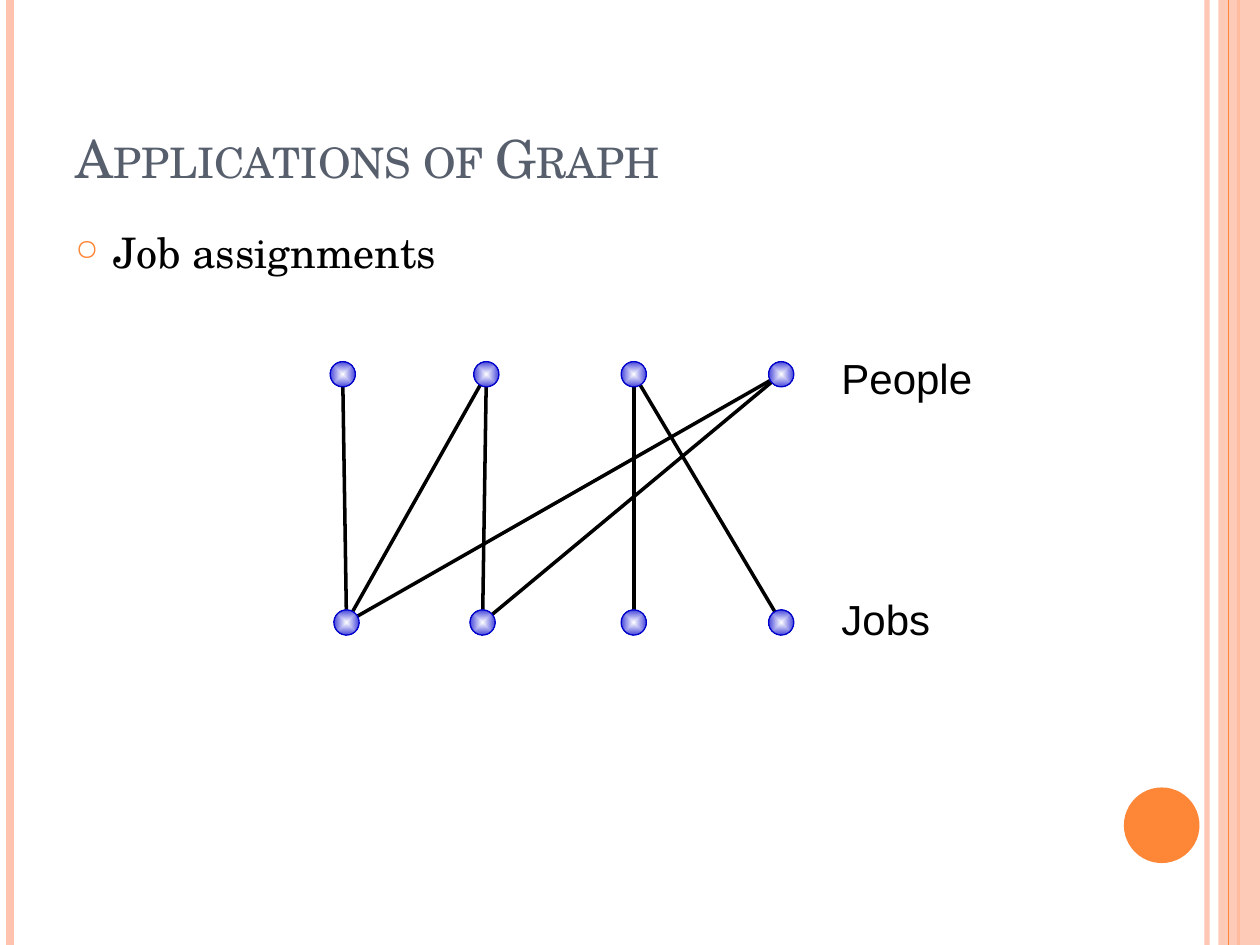
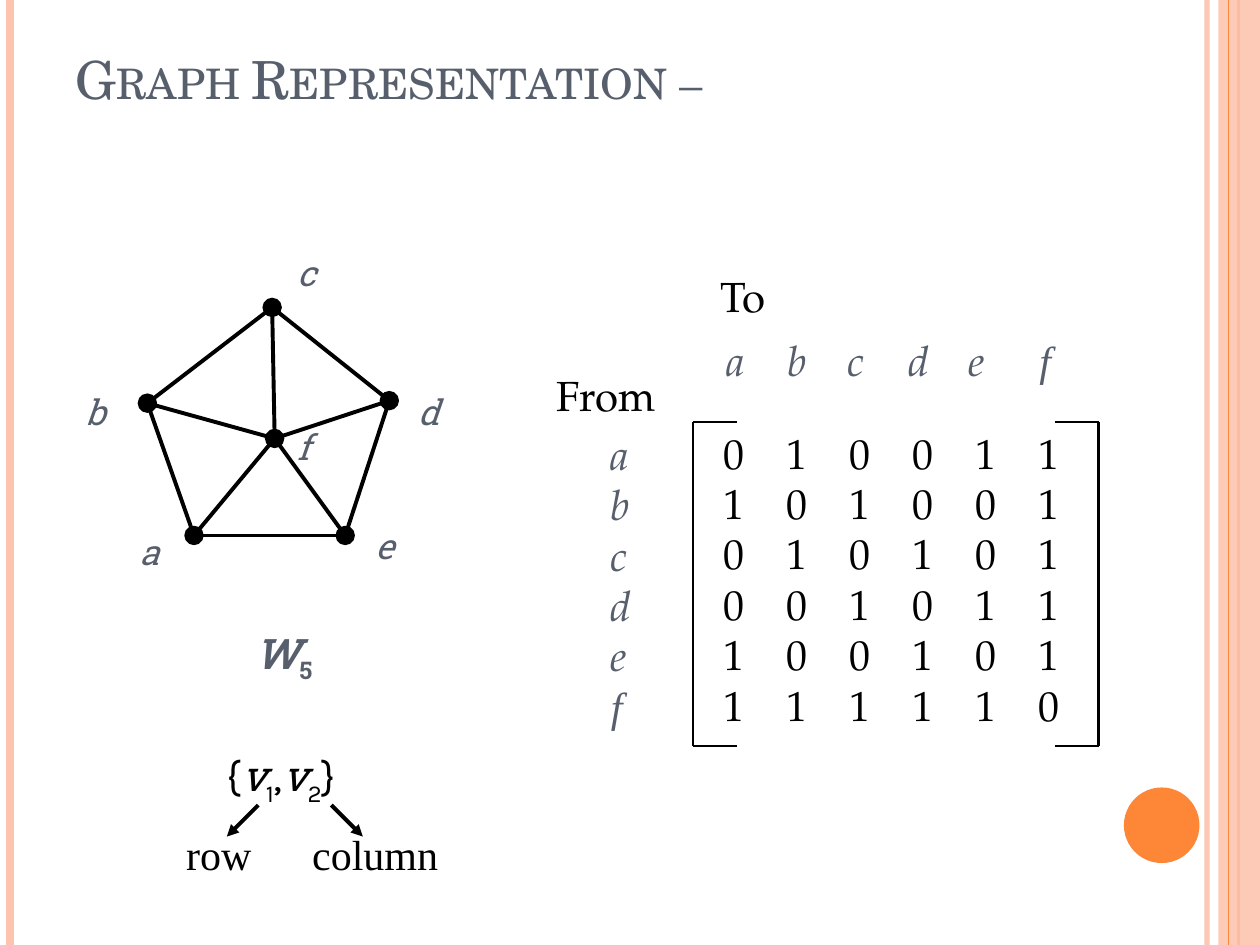
from lxml.etree import SubElement
from pptx import Presentation
from pptx.dml.color import RGBColor
from pptx.enum.shapes import MSO_CONNECTOR, MSO_SHAPE
from pptx.enum.text import MSO_ANCHOR, MSO_AUTO_SIZE, PP_ALIGN
from pptx.oxml.ns import qn
from pptx.util import Inches, Pt

ORANGE, PEACH, SLATE = "FE8637", "FEC3AE", "575F6D"
BLACK, WHITE, BLUE = "000000", "FFFFFF", "0000CC"
SERIF, TITLE_FONT, SLAB = "TeX Gyre Pagella", "TeX Gyre Schola", "Roboto Slab"
SANS, TIMES, KARLA = "Arial", "Times New Roman", "Karla"
rgb = RGBColor.from_string


def add_text(page, text, at=None, into=None, size=24, font=SERIF, color=BLACK,
             bold=False, italic=False, baseline=0, small_caps=False,
             anchor=MSO_ANCHOR.TOP, tabs=()):
    """Write text in a new box, or carry on the last paragraph of a given one."""
    box = into
    if box is None:
        box = page.shapes.add_textbox(*map(Inches, at))
    frame = box.text_frame
    if at:
        frame.word_wrap = True
        frame.auto_size = MSO_AUTO_SIZE.NONE
        frame.vertical_anchor = anchor
    for number, line in enumerate(text.split("\n")):
        para = frame.add_paragraph() if number else frame.paragraphs[-1]
        para.alignment = PP_ALIGN.LEFT
        if tabs:
            stops = SubElement(para._p.get_or_add_pPr(), qn("a:tabLst"))
            for stop in tabs:
                SubElement(stops, qn("a:tab"), pos=str(Inches(stop)), algn="l")
        if not line:
            continue
        span = para.add_run()
        span.text = line
        span.font.size = Pt(size)
        span.font.name = font
        span.font.bold = bold
        span.font.italic = italic
        span.font.color.rgb = rgb(color)
        if baseline:
            span.font._rPr.set("baseline", str(baseline * 1000))
        if small_caps:
            span.font._rPr.set("cap", "small")
    return box


def add_line(page, start, end, color=BLACK, width=2.25, opacity=100, arrow=False):
    line = page.shapes.add_connector(
        MSO_CONNECTOR.STRAIGHT, *map(Inches, (*start, *end)))
    line.line.color.rgb = rgb(color)
    line.line.width = Pt(width)
    properties = line._element.spPr
    if opacity < 100:
        tint = next(properties.iter(qn("a:srgbClr")))
        SubElement(tint, qn("a:alpha"), val=str(opacity * 1000))
    if arrow:
        SubElement(line.line._get_or_add_ln(), qn("a:tailEnd"), type="triangle")
    SubElement(properties, qn("a:effectLst"))


deck = Presentation()
deck.slide_width, deck.slide_height = Inches(10), Inches(7.5)

# Shared frame and title of each slide
titles = [
    ("Applications of Graph", (0.5, 0.3, 8.17, 1.25)),
    ("Graph Representation –", (0.5, 0.3, 9.25, 0.62)),
]
for text, at in titles:
    page = deck.slides.add_slide(deck.slide_layouts[5])
    add_line(page, (9.58, 0), (9.58, 7.5), PEACH, 3, opacity=93)
    add_line(page, (0.08, 0), (0.08, 7.5), PEACH, 4.5)
    add_line(page, (9.83, 0), (9.83, 7.5), ORANGE, 1.5)
    for kind, place, color in (
            (MSO_SHAPE.RECTANGLE, (9.67, 0, 0.33, 7.5), PEACH),
            (MSO_SHAPE.OVAL, (8.92, 6.25, 0.6, 0.6), ORANGE)):
        ornament = page.shapes.add_shape(kind, *map(Inches, place))
        ornament.shadow.inherit = False
        ornament.fill.solid()
        ornament.fill.fore_color.rgb = rgb(color)
        ornament.line.fill.background()
        if kind == MSO_SHAPE.RECTANGLE:
            tint = next(ornament._element.spPr.iter(qn("a:srgbClr")))
            SubElement(tint, qn("a:alpha"), val="87000")
    add_line(page, (9.75, 0), (9.75, 7.5), ORANGE, 0.75)
    title = page.shapes.title
    title.left, title.top, title.width, title.height = map(Inches, at)
    add_text(page, text, at, into=title, size=30, font=TITLE_FONT, color=SLATE,
             small_caps=True, anchor=MSO_ANCHOR.BOTTOM)

jobs_page, matrix_page = deck.slides

# Slide 1: bulleted line
bullet_box = add_text(jobs_page, "Job assignments", (0.5, 1.75, 8.17, 0.7),
                      font=TITLE_FONT)
para = bullet_box.text_frame.paragraphs[0]
para.space_before = Pt(6)
layout = para._p.get_or_add_pPr()
layout.set("marL", str(Inches(0.3)))
layout.set("indent", str(Inches(-0.3)))
SubElement(SubElement(layout, qn("a:buClr")), qn("a:srgbClr"), val=ORANGE)
SubElement(layout, qn("a:buSzPct"), val="70000")
SubElement(layout, qn("a:buChar"), char="○")

# Slide 1: people above, jobs below, edges between their centres
people = [(x, 2.97) for x in (2.72, 3.86, 5.03, 6.2)]
jobs = [(x, 4.94) for x in (2.75, 3.83, 5.03, 6.2)]
assignments = [(3, 1), (3, 0), (0, 0), (2, 2), (1, 0), (2, 3), (1, 1)]
for person, job in assignments:
    add_line(jobs_page, people[person], jobs[job], width=2)
for x, y in people + jobs:
    node = jobs_page.shapes.add_shape(
        MSO_SHAPE.OVAL, *map(Inches, (x - 0.1, y - 0.1, 0.2, 0.2)))
    node.rotation = 212.8
    node.shadow.inherit = False
    node.line.color.rgb = rgb(BLUE)
    node.line.width = Pt(0.75)
    node.fill.gradient()
    for stop, position, color in zip(node.fill.gradient_stops, (0, 1), (WHITE, BLUE)):
        stop.position = position
        stop.color.rgb = rgb(color)
    gradient = node._element.spPr.find(qn("a:gradFill"))
    gradient.remove(gradient.find(qn("a:lin")))
    centre = SubElement(gradient, qn("a:path"), {"path": "shape"})
    SubElement(centre, qn("a:fillToRect"), l="50000", t="50000", r="50000", b="50000")
for text, top in (("People", 2.75), ("Jobs", 4.66)):
    add_text(jobs_page, text, (6.58, top, 1.33, 0.51), font=SANS)

# Slide 2: wheel graph, each vertex with the corner of its label
vertices = {
    "a": ((1.54, 4.25), (1.01, 4.16)),
    "b": ((1.17, 3.2), (0.58, 3.05)),
    "c": ((2.16, 2.44), (2.26, 1.95)),
    "d": ((3.09, 3.18), (3.22, 3.05)),
    "e": ((2.74, 4.25), (2.88, 4.11)),
    "f": ((2.18, 3.48), (2.26, 3.33)),
}
rim = "abcde"
for vertex, neighbour in zip(rim, rim[1:] + rim[0]):
    for other in (neighbour, "f"):
        add_line(matrix_page, vertices[vertex][0], vertices[other][0])
for name, ((x, y), corner) in vertices.items():
    dot = matrix_page.shapes.add_shape(
        MSO_SHAPE.OVAL, *map(Inches, (x - 0.07, y - 0.07, 0.14, 0.14)))
    dot.shadow.inherit = False
    dot.fill.solid()
    dot.fill.fore_color.rgb = rgb(BLACK)
    dot.line.color.rgb = rgb(BLACK)
    dot.line.width = Pt(1)
    add_text(matrix_page, name, (*corner, 0.39, 0.43), size=20, font=SLAB,
             color=SLATE, italic=True)
wheel = add_text(matrix_page, "W", (1.92, 4.93, 0.69, 0.51), font=SLAB,
                 color=SLATE, bold=True, italic=True)
add_text(matrix_page, "5", into=wheel, font=SLAB, color=SLATE, bold=True, baseline=-25)

# Slide 2: edge notation with arrows to row and column
pair = add_text(matrix_page, "{", (1.7, 5.9, 1.23, 0.5), font=KARLA)
for index, mark in (("1", ","), ("2", "}")):
    add_text(matrix_page, "v", into=pair, font=SLAB, italic=True)
    add_text(matrix_page, index, into=pair, font=KARLA, baseline=-25)
    add_text(matrix_page, mark, into=pair, font=KARLA)
add_text(matrix_page, "row\tcolumn", (1.38, 6.53, 2.3, 0.5), font=TIMES, tabs=[1])
for start, end in ((2.05, 1.8), (2.63, 2.88)):
    add_line(matrix_page, (start, 6.39), (end, 6.64), arrow=True)

# Slide 2: adjacency matrix with its headings and brackets
add_text(matrix_page, "To", (5.62, 2.1, 0.7, 0.5))
add_text(matrix_page, "From", (4.32, 2.88, 1.05, 0.5))
heading = {"color": SLATE, "italic": True}
columns = add_text(matrix_page, "a\tb\tc\td\te\t", (5.67, 2.35, 3.5, 0.75),
                   anchor=MSO_ANCHOR.BOTTOM, tabs=[0.48, 0.96, 1.44, 1.92, 2.48],
                   **heading)
rows = add_text(matrix_page, "a\nb\nc\nd\ne\n", (4.75, 3.35, 0.37, 2.5), **heading)
for box in (columns, rows):
    add_text(matrix_page, "f", into=box, font=TIMES, **heading)
matrix = ["010011", "101001", "010101", "001011", "100101", "111110"]
add_text(matrix_page, "\n".join("\t".join(row) for row in matrix),
         (5.64, 3.34, 2.87, 2.5), tabs=[0.5 * step for step in range(1, 6)])
for side, tip in ((5.5, 5.85), (8.72, 8.37)):
    add_line(matrix_page, (side, 3.35), (side, 5.92), width=1.5)
    for y in (3.35, 5.92):
        add_line(matrix_page, (side, y), (tip, y), width=1.5)

deck.save("out.pptx")
